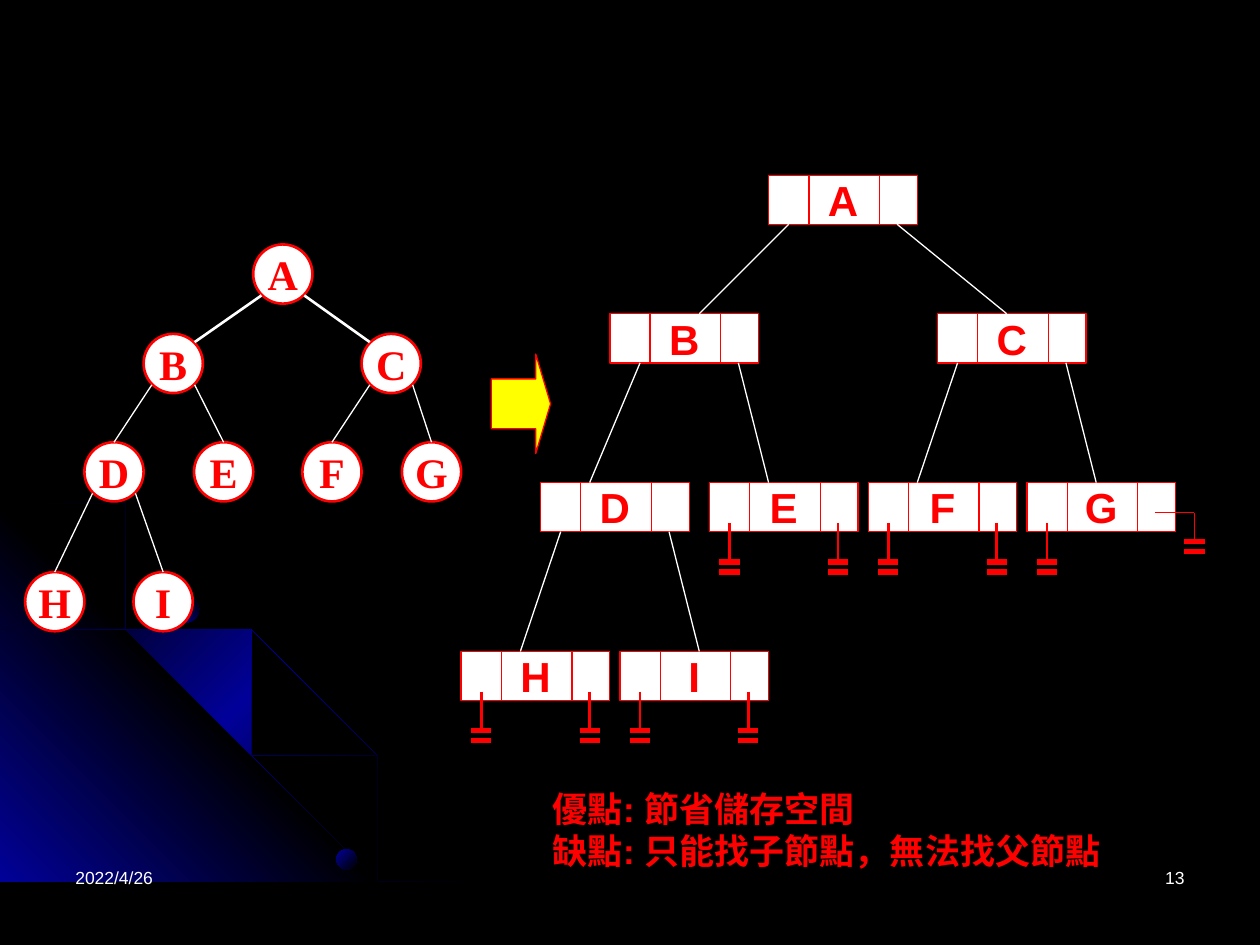
from dataclasses import dataclass
from typing import Optional

from lxml import etree
from pptx import Presentation
from pptx.dml.color import RGBColor
from pptx.enum.shapes import MSO_CONNECTOR, MSO_SHAPE
from pptx.enum.text import MSO_ANCHOR, PP_ALIGN
from pptx.oxml.ns import qn
from pptx.util import Inches, Pt

STRAIGHT = MSO_CONNECTOR.STRAIGHT
RECTANGLE, OVAL = MSO_SHAPE.RECTANGLE, MSO_SHAPE.OVAL
CIRCLE, ARROW = MSO_SHAPE.FLOWCHART_CONNECTOR, MSO_SHAPE.RIGHT_ARROW
MIDDLE, CENTER, LEFT, RIGHT = MSO_ANCHOR.MIDDLE, PP_ALIGN.CENTER, PP_ALIGN.LEFT, PP_ALIGN.RIGHT
COLORS = {"black": "000000", "white": "FFFFFF", "red": "FF0000", "yellow": "FFFF00", "blue": "010199"}

RECORD_WIDTH, RECORD_HEIGHT = 1.18, 0.39
DIVIDERS = (0.32, 0.88)
LEFT_LINK, RIGHT_LINK = 0.16, 1.02  # centres of the two link fields
DIAMETER = 0.47
DIAGONAL = 0.17  # offset of a circle's diagonal points from its centre


@dataclass
class Node:
    """A tree node; leave and enter are x offsets of its edge on parent and node."""
    label: str
    left: float
    top: float
    parent: Optional[str] = None
    leave: float = 0
    enter: float = 0


RECORDS = [
    Node("A", 6.1, 1.39),
    Node("B", 4.84, 2.49, "A", LEFT_LINK, 0.71),
    Node("C", 7.44, 2.49, "A", RIGHT_LINK, 0.55),
    Node("D", 4.29, 3.83, "B", 0.24, 0.39),
    Node("E", 5.63, 3.83, "B", RIGHT_LINK, 0.47),
    Node("F", 6.89, 3.83, "C", LEFT_LINK, 0.39),
    Node("G", 8.15, 3.83, "C", RIGHT_LINK, 0.55),
    Node("H", 3.66, 5.17, "D", LEFT_LINK, 0.47),
    Node("I", 4.92, 5.17, "D", RIGHT_LINK, 0.63),
]
CIRCLES = [
    Node("A", 2.01, 1.94),
    Node("B", 1.14, 2.65, "A"), Node("C", 2.87, 2.65, "A"),
    Node("D", 0.67, 3.51, "B"), Node("E", 1.54, 3.51, "B"),
    Node("F", 2.4, 3.51, "C"), Node("G", 3.19, 3.51, "C"),
    Node("H", 0.2, 4.54, "D"), Node("I", 1.06, 4.54, "D"),
]

# Background outlines: three thin arcs and the corner triangle
UPPER_ARC = [
    (0.57, 4.47), (0.28, 4.41), (0, 4.35), (0, 4.38), (0.28, 4.43), (0.56, 4.49), (0.97, 4.61),
    (1.35, 4.78), (1.73, 4.99), (2.08, 5.23), (2.41, 5.49), (2.71, 5.79), (2.98, 6.12),
    (3.23, 6.49), (3.37, 6.73), (3.5, 6.98), (3.6, 7.23), (3.7, 7.49), (3.72, 7.49),
    (3.62, 7.23), (3.52, 6.98), (3.39, 6.73), (3.25, 6.48), (3, 6.11), (2.72, 5.78),
    (2.42, 5.48), (2.09, 5.21), (1.74, 4.97), (1.36, 4.77), (0.98, 4.59)]
LOWER_ARC = [
    (2.85, 7.14), (2.94, 7.32), (3.01, 7.49), (3.03, 7.49), (2.96, 7.3), (2.86, 7.12),
    (2.66, 6.76), (2.42, 6.4), (2.15, 6.06), (1.84, 5.76), (1.52, 5.49), (1.17, 5.26),
    (0.79, 5.05), (0.41, 4.88), (0, 4.75), (0, 4.77), (0.39, 4.9), (0.77, 5.07), (1.15, 5.28),
    (1.5, 5.51), (1.83, 5.78), (2.13, 6.08), (2.4, 6.41), (2.65, 6.77)]
MIDDLE_ARC = [
    (0, 4.42), (0, 4.44), (0.36, 4.57), (0.74, 4.75), (1.09, 4.94), (1.42, 5.18), (1.73, 5.44),
    (2.02, 5.75), (2.27, 6.05), (2.52, 6.41), (2.67, 6.67), (2.8, 6.94), (2.92, 7.22),
    (3.01, 7.49), (3.03, 7.49), (2.94, 7.2), (2.82, 6.93), (2.69, 6.65), (2.54, 6.39),
    (2.29, 6.03), (2.04, 5.73), (1.75, 5.43), (1.44, 5.16), (1.11, 4.93), (0.76, 4.73), (0.39, 4.55)]
TRIANGLE = [(3.22, 7.49), (0, 7.49), (0, 4.27)]


def rgb(name: str) -> RGBColor:
    return RGBColor.from_string(COLORS[name])


def set_gradient(shape, colors: list[str], angle: int) -> None:
    """Spread the colours evenly along the angle and remove the outline."""
    shape.shadow.inherit = False
    shape.line.fill.background()
    shape.fill.gradient()
    gradient = shape._element.spPr.find(qn("a:gradFill"))
    stops = gradient.find(qn("a:gsLst"))
    for stop in list(stops):
        stops.remove(stop)
    for index, name in enumerate(colors):
        stop = etree.SubElement(stops, qn("a:gs"), pos=str(100000 * index // (len(colors) - 1)))
        etree.SubElement(stop, qn("a:srgbClr"), val=COLORS[name])
    gradient.find(qn("a:lin")).set("ang", str(angle * 60000))


def add_outline(slide, points: list[tuple], colors: list[str], angle: int) -> None:
    builder = slide.shapes.build_freeform(*points[0], scale=Inches(1))
    builder.add_line_segments(points[1:], close=True)
    set_gradient(builder.convert_to_shape(), colors, angle)


def add_dot(slide, left: float, top: float, size: float, angle: int) -> None:
    dot = slide.shapes.add_shape(OVAL, Inches(left), Inches(top), Inches(size), Inches(size))
    set_gradient(dot, ["blue", "black"], angle)


def add_line(slide, x1: float, y1: float, x2: float, y2: float, color: str, width: float = 0.75) -> None:
    line = slide.shapes.add_connector(STRAIGHT, Inches(x1), Inches(y1), Inches(x2), Inches(y2))
    line.line.color.rgb = rgb(color)
    line.line.width = Pt(width)
    etree.SubElement(line._element.spPr, qn("a:effectLst"))


def format_para(para, size: float, color: str, font: str = "Arial", bold: bool = False, align=LEFT) -> None:
    para.alignment = align
    para.font.size, para.font.bold, para.font.name = Pt(size), bold, font
    para.font.color.rgb = rgb(color)


def add_box(slide, kind, left: float, top: float, width: float, height: float, fill: str, line_width: float):
    box = slide.shapes.add_shape(kind, Inches(left), Inches(top), Inches(width), Inches(height))
    box.shadow.inherit = False
    box.fill.solid()
    box.fill.fore_color.rgb = rgb(fill)
    box.line.color.rgb = rgb("red")
    box.line.width = Pt(line_width)
    return box


def add_label(box, text: str, font: str) -> None:
    frame = box.text_frame
    frame.word_wrap, frame.vertical_anchor = False, MIDDLE
    frame.text = text
    format_para(frame.paragraphs[0], 24, "red", font, True, CENTER)


def add_text_frame(slide, left: float, top: float, width: float, height: float):
    frame = slide.shapes.add_textbox(Inches(left), Inches(top), Inches(width), Inches(height)).text_frame
    frame.word_wrap = True
    return frame


def add_ground_bars(slide, x: float, y: float) -> None:
    for bar_y in (y, y + 0.08):
        add_line(slide, x - 0.08, bar_y, x + 0.08, bar_y, "red", 3)


def add_record(slide, node: Node) -> None:
    box = add_box(slide, RECTANGLE, node.left, node.top, RECORD_WIDTH, RECORD_HEIGHT, "white", 0.75)
    add_label(box, node.label, "Arial")
    for offset in DIVIDERS:
        x = node.left + offset
        add_line(slide, x, node.top, x, node.top + RECORD_HEIGHT, "red")


def add_null_links(slide, node: Node) -> None:
    for offset in (LEFT_LINK, RIGHT_LINK):
        x, y = node.left + offset, node.top
        if node.label == "G" and offset == RIGHT_LINK:  # bends out to the side
            add_line(slide, x, y + 0.24, x + 0.31, y + 0.24, "red")
            add_line(slide, x + 0.31, y + 0.24, x + 0.31, y + 0.47, "red")
            add_ground_bars(slide, x + 0.31, y + 0.47)
        else:
            add_line(slide, x, y + 0.32, x, y + 0.63, "red", 1.5)
            add_ground_bars(slide, x, y + 0.63)


def add_circle_edge(slide, parent: Node, child: Node) -> None:
    radius = DIAMETER / 2
    side = 1 if child.left > parent.left else -1
    x1, y1 = parent.left + radius + side * DIAGONAL, parent.top + radius + DIAGONAL
    x2, y2, width = child.left + radius, child.top, 0.75
    if parent.parent is None:  # root edges are thick and meet the child's diagonal point
        x2, y2, width = x2 - side * DIAGONAL, y2 + radius - DIAGONAL, 1.5
    add_line(slide, x1, y1, x2, y2, "white", width)


def main() -> None:
    deck = Presentation()
    deck.slide_width, deck.slide_height = Inches(10), Inches(7.5)
    slide = deck.slides.add_slide(deck.slide_layouts[6])

    # Background
    slide.background.fill.solid()
    slide.background.fill.fore_color.rgb = rgb("black")
    arc_colors = ["black", "blue", "black"]
    add_outline(slide, UPPER_ARC, arc_colors, 45)
    add_outline(slide, TRIANGLE, ["blue", "black", "blue"], 315)
    for arc in (LOWER_ARC, MIDDLE_ARC):
        add_outline(slide, arc, arc_colors, 45)
    for dot in ((0.36, 4.83, 0.15, 315), (2.67, 6.74, 0.16, 45), (1.37, 4.73, 0.21, 315)):
        add_dot(slide, *dot)

    # Date and page number
    for left, text, align in ((0.5, "2022/4/26", LEFT), (7.17, "13", RIGHT)):
        frame = add_text_frame(slide, left, 6.83, 2.33, 0.5)
        frame.text = text
        format_para(frame.paragraphs[0], 10, "white", align=align)

    # Linked records
    records = {node.label: node for node in RECORDS}
    parents = {node.parent for node in RECORDS}
    for node in RECORDS:
        add_record(slide, node)
    for node in RECORDS[1:]:
        parent = records[node.parent]
        add_line(slide, parent.left + node.leave, parent.top + RECORD_HEIGHT,
                 node.left + node.enter, node.top, "white")
    for node in RECORDS:
        if node.label not in parents:
            add_null_links(slide, node)

    # Binary tree
    circles = {node.label: node for node in CIRCLES}
    for node in CIRCLES:
        circle = add_box(slide, CIRCLE, node.left, node.top, DIAMETER, DIAMETER, "white", 1.5)
        add_label(circle, node.label, "Times New Roman")
    for node in CIRCLES[1:]:
        add_circle_edge(slide, circles[node.parent], node)

    # Arrow between the two trees
    arrow = add_box(slide, ARROW, 3.9, 2.81, 0.47, 0.79, "yellow", 0.75)
    arrow.adjustments[0], arrow.adjustments[1] = 0.5, 0.25

    # Advantage and drawback
    frame = add_text_frame(slide, 4.29, 6.2, 4.58, 0.77)
    frame.text = "優點: 節省儲存空間\n缺點: 只能找子節點"
    for para in frame.paragraphs:
        format_para(para, 20, "red", bold=True)
    span = frame.paragraphs[1].add_run()
    span.text = "，無法找父節點"
    span.font.name = "Noto Sans CJK TC"
    deck.save("out.pptx")


if __name__ == "__main__":
    main()
